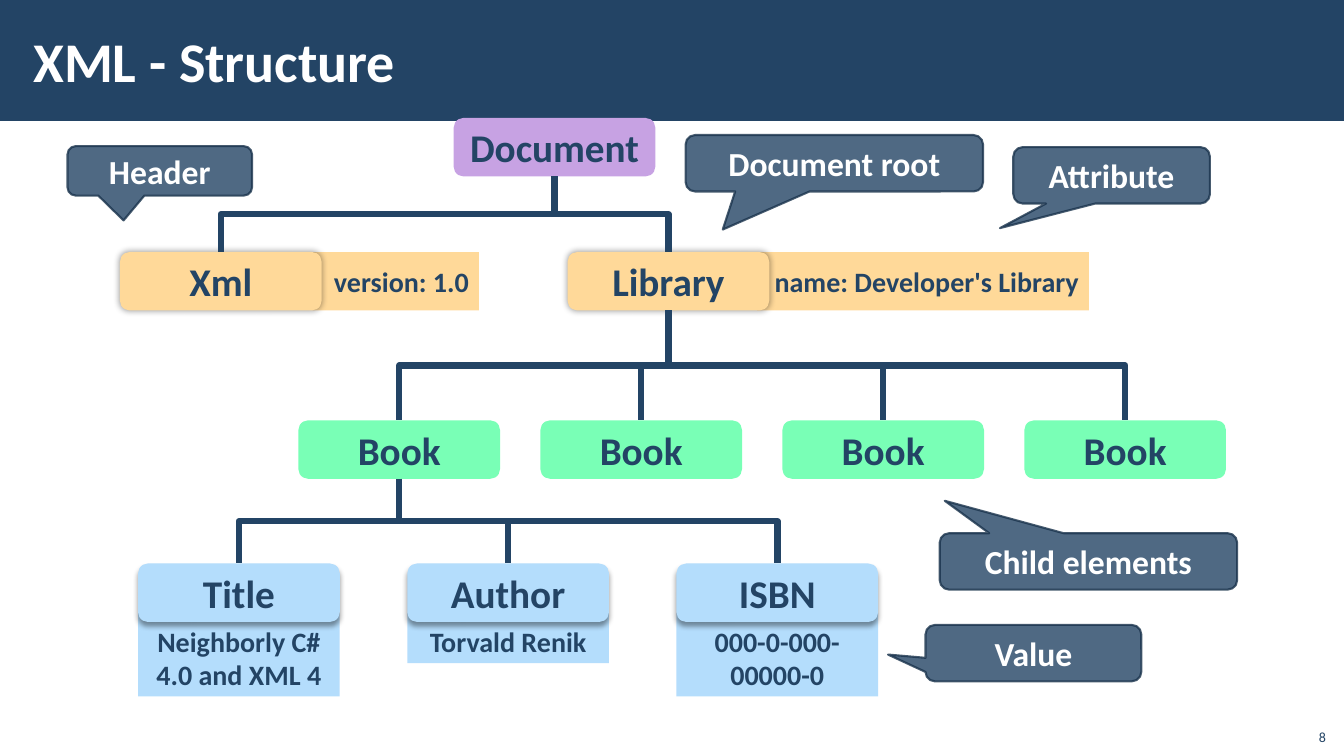
from lxml.etree import SubElement
from pptx import Presentation
from pptx.dml.color import RGBColor
from pptx.enum.shapes import MSO_CONNECTOR as Connector, MSO_SHAPE as Shape
from pptx.enum.text import MSO_ANCHOR as Anchor, PP_ALIGN as Align
from pptx.oxml.ns import qn
from pptx.util import Inches, Pt

NAVY = RGBColor(0x23, 0x44, 0x65)
DARK_NAVY = RGBColor(0x1A, 0x33, 0x4C)
WHITE = RGBColor(0xFF, 0xFF, 0xFF)
ORANGE = RGBColor(0xFF, 0xD9, 0x99)
GREEN = RGBColor(0x79, 0xFF, 0xB6)
BLUE = RGBColor(0xB4, 0xDD, 0xFC)
PURPLE = RGBColor(0xC7, 0xA2, 0xE3)

FONT = "Calibri"
NODE_WIDTH, NODE_HEIGHT = 2, 0.58
ROOT_TOP, ELEMENT_TOP, BOOK_TOP, FIELD_TOP, VALUE_TOP = 1.17, 2.5, 4.17, 5.59, 6.08
BOOK_LEFT, BOOK_STEP = 2.96, 2.4
FIELD_LEFT, FIELD_STEP = 1.37, 2.67

FIELDS = [
    ("Title", "Neighborly C# 4.0 and XML 4", 0.83),
    ("Author", "Torvald Renik", 0.5),
    ("ISBN", "000-0-000-00000-0", 0.83),
]
CALLOUTS = [
    ("Header", (0.67, 1.45, 1.83, 0.49), (-0.196, 1.003)),
    ("Document root", (6.8, 1.34, 2.95, 0.56), (-0.375, 1.175)),
    ("Attribute", (10.05, 1.46, 1.95, 0.56), (-0.568, 0.936)),
    ("Child elements", (9.32, 5.29, 2.95, 0.56), (-0.483, -1.075)),
    ("Value", (9.18, 6.2, 2.14, 0.56), (-0.674, 0.026)),
]


def write(shape, text, size=28, color=NAVY, bold=True, align=Align.CENTER, anchor=Anchor.MIDDLE):
    frame = shape.text_frame
    frame.word_wrap = True
    frame.vertical_anchor = anchor
    paragraph = frame.paragraphs[0]
    paragraph.alignment = align
    run = paragraph.add_run()
    run.text = text
    run.font.name = FONT
    run.font.size = Pt(size)
    run.font.bold = bold
    run.font.color.rgb = color


def set_opacity(fill_parent, percent):
    color = fill_parent.find(qn("a:solidFill"))[0]
    SubElement(color, qn("a:alpha"), val=str(percent * 1000))


class TreeSlide:
    def __init__(self, presentation):
        self.slide = presentation.slides.add_slide(presentation.slide_layouts[5])
        self.shapes = self.slide.shapes

    def box(self, kind, area, fill):
        shape = self.shapes.add_shape(kind, *map(Inches, area))
        shape.shadow.inherit = False
        shape.fill.solid()
        shape.fill.fore_color.rgb = fill
        shape.line.fill.background()
        return shape

    def title(self, text):
        self.box(Shape.RECTANGLE, (0, 0, 13.34, 1.2), NAVY)
        title = self.shapes.title
        self.shapes._spTree.append(title._element)
        title.left, title.top = Inches(0.21), Inches(0.11)
        title.width, title.height = Inches(10.63), Inches(0.97)
        frame = title.text_frame
        frame.margin_left = frame.margin_right = Inches(0.12)
        frame.margin_top = frame.margin_bottom = Inches(0.04)
        write(title, text, size=40, color=WHITE, align=Align.LEFT)

    def label(self, text, area, fill, **text_format):
        write(self.box(Shape.RECTANGLE, area, fill), text, size=20, **text_format)

    def node(self, text, left, top, fill, shadow=None):
        area = (left, top, NODE_WIDTH, NODE_HEIGHT)
        shape = self.box(Shape.ROUNDED_RECTANGLE, area, fill)
        write(shape, text)
        if shadow:
            blur, distance, angle = shadow
            effects = shape._element.spPr.find(qn("a:effectLst"))
            outer = SubElement(effects, qn("a:outerShdw"), blurRad=str(Pt(blur)),
                               dist=str(Pt(distance)), dir=str(angle * 60000), rotWithShape="0")
            color = SubElement(outer, qn("a:srgbClr"), val="000000")
            SubElement(color, qn("a:alpha"), val="40000")
        return shape

    def branch(self, parent, child):
        start_x, start_y = parent.left + parent.width // 2, parent.top + parent.height
        end_x, end_y = child.left + child.width // 2, child.top
        connector = self.shapes.add_connector(Connector.ELBOW, start_x, start_y, end_x, end_y)
        connector.begin_connect(parent, 2)
        connector.end_connect(child, 0)
        connector.width, connector.height = end_y - start_y, abs(end_x - start_x)
        connector.left = (start_x + end_x - connector.width) // 2
        connector.top = (start_y + end_y - connector.height) // 2
        goes_right = end_x > start_x
        properties = connector._element.spPr
        transform = properties.find(qn("a:xfrm"))
        transform.set("rot", str((270 if goes_right else 90) * 60000))
        transform.set("flipH", "1" if goes_right else "0")
        connector.line.color.rgb = NAVY
        connector.line.width = Pt(4.5)
        SubElement(properties, qn("a:effectLst"))

    def callout(self, text, area, tip):
        shape = self.box(Shape.ROUNDED_RECTANGULAR_CALLOUT, area, NAVY)
        shape.adjustments[0], shape.adjustments[1] = tip
        shape.line.color.rgb = DARK_NAVY
        shape.line.width = Pt(1.5)
        properties = shape._element.spPr
        set_opacity(properties, 80)
        set_opacity(properties.find(qn("a:ln")), 80)
        write(shape, text, size=24, color=WHITE)

    def page_number(self, text):
        area = map(Inches, (12.85, 7.12, 0.4, 0.32))
        write(self.shapes.add_textbox(*area), text, size=10, bold=False,
              align=Align.RIGHT, anchor=Anchor.BOTTOM)


def main():
    presentation = Presentation()
    presentation.slide_width, presentation.slide_height = Inches(13.33), Inches(7.5)
    tree = TreeSlide(presentation)
    tree.title("XML - Structure")

    document = tree.node("Document", 4.5, ROOT_TOP, PURPLE)
    glow = (5, 0, 0)
    tree.label("version: 1.0", (3.1, ELEMENT_TOP, 1.65, NODE_HEIGHT), ORANGE, align=Align.RIGHT)
    xml = tree.node("Xml", 1.19, ELEMENT_TOP, ORANGE, glow)
    tree.label("name: Developer's Library", (7.51, ELEMENT_TOP, 3.29, NODE_HEIGHT), ORANGE,
               align=Align.RIGHT)
    library = tree.node("Library", 5.63, ELEMENT_TOP, ORANGE, glow)
    books = [tree.node("Book", BOOK_LEFT + i * BOOK_STEP, BOOK_TOP, GREEN) for i in range(4)]

    fields = []
    for i, (name, value, height) in enumerate(FIELDS):
        left = FIELD_LEFT + i * FIELD_STEP
        tree.label(value, (left, VALUE_TOP, NODE_WIDTH, height), BLUE, anchor=Anchor.BOTTOM)
        fields.append(tree.node(name, left, FIELD_TOP, BLUE, (4, 3, 90)))

    for parent, children in ((document, (xml, library)), (library, books), (books[0], fields)):
        for child in children:
            tree.branch(parent, child)

    for text, area, tip in CALLOUTS:
        tree.callout(text, area, tip)
    tree.page_number("8")
    presentation.save("out.pptx")


if __name__ == "__main__":
    main()
